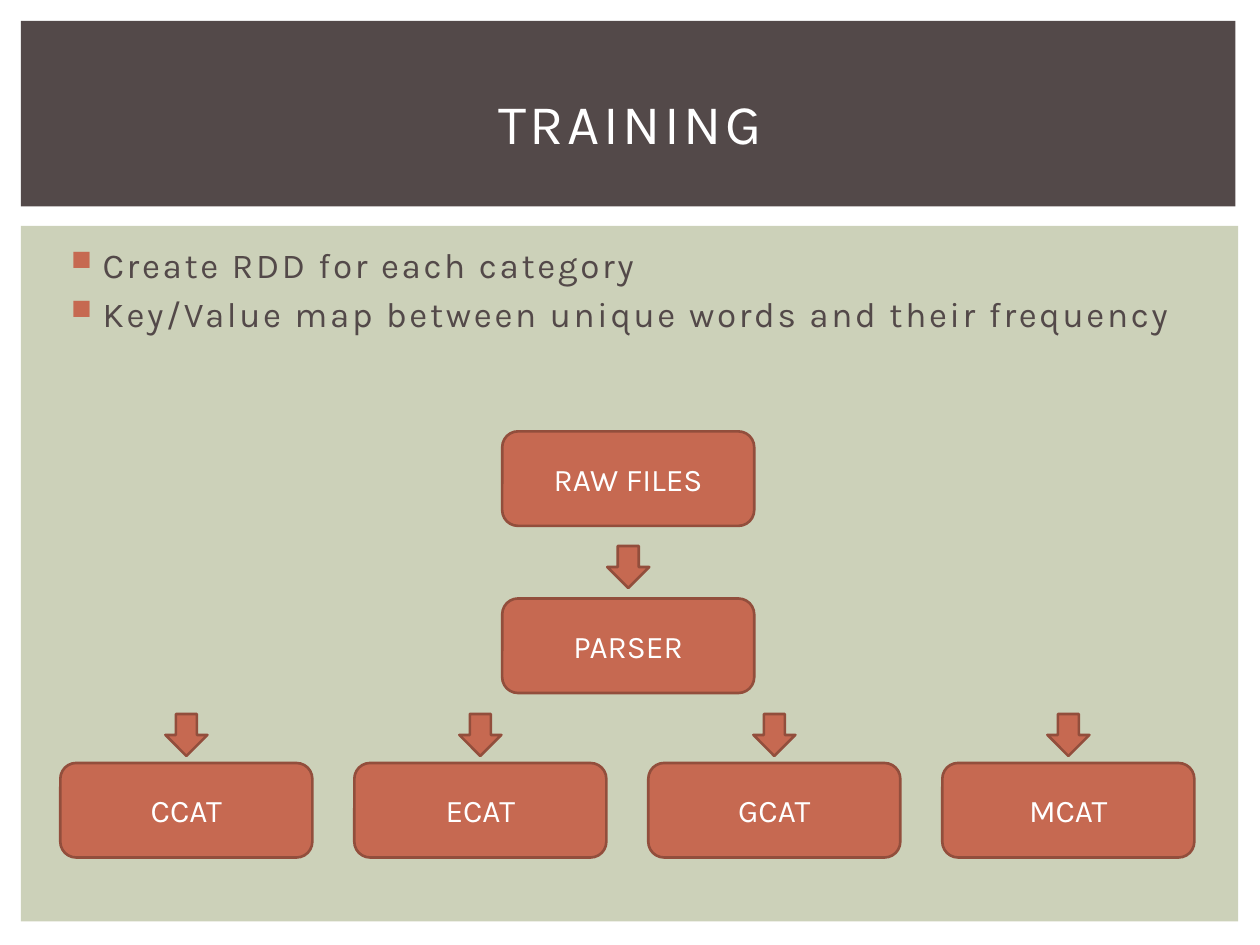
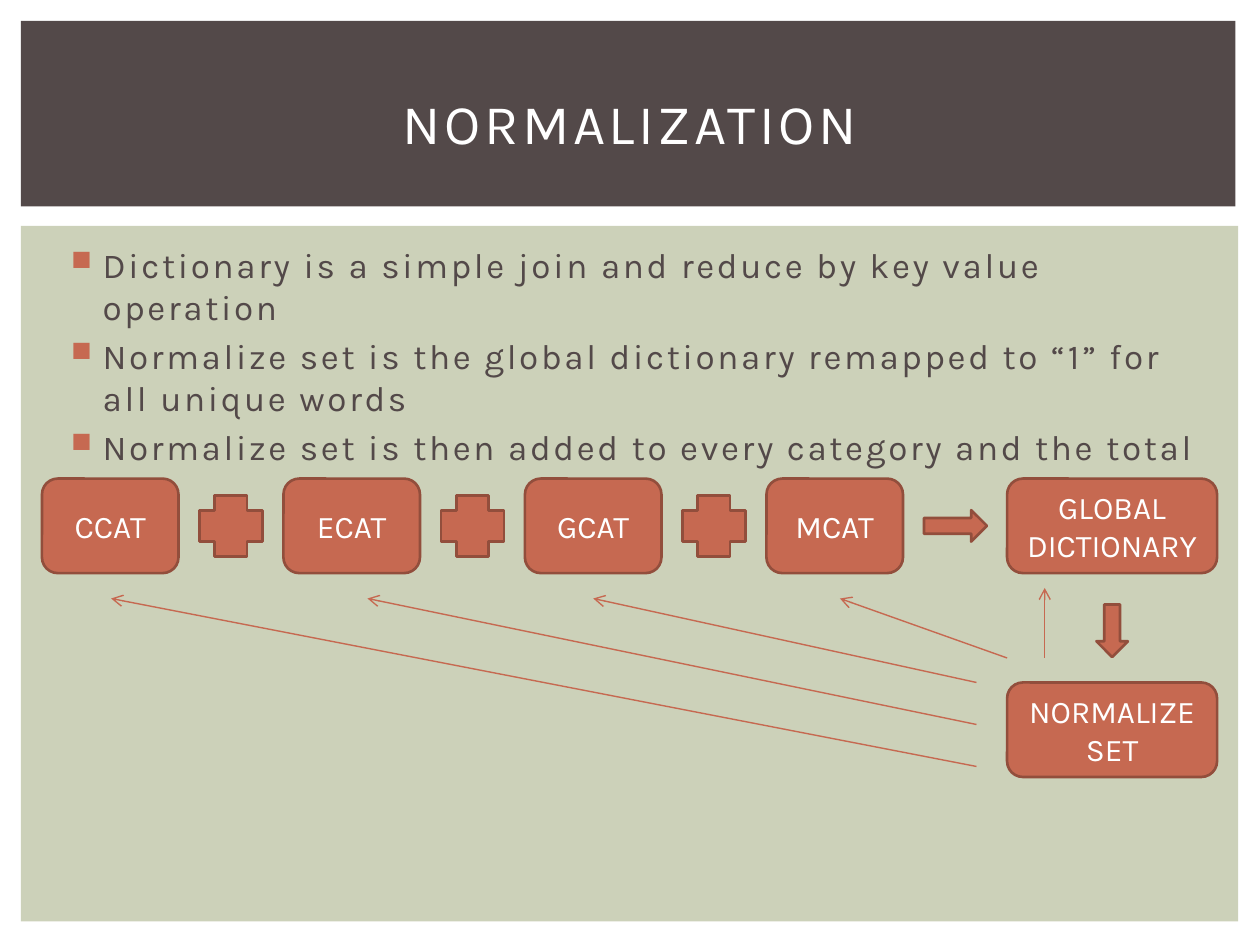
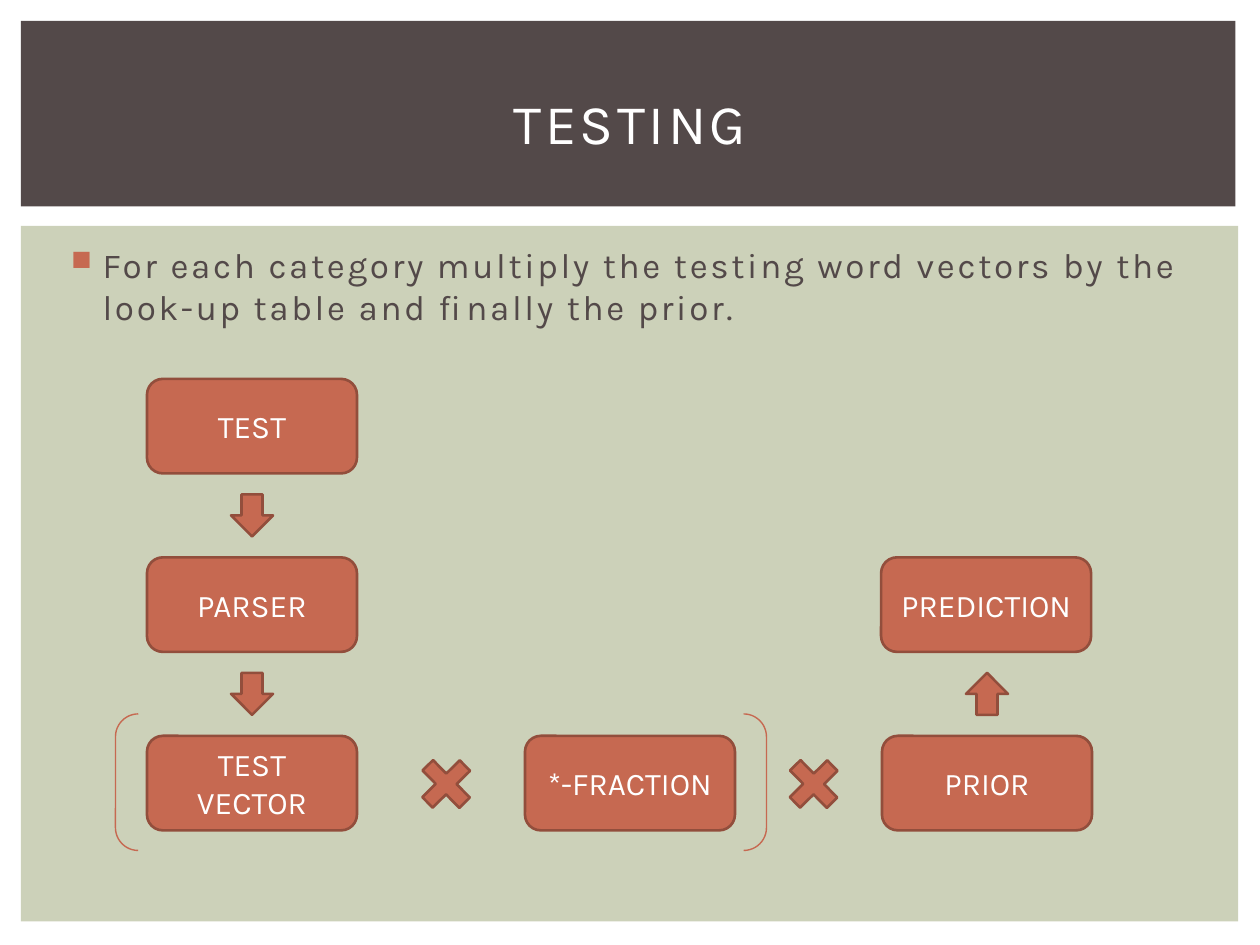
from dataclasses import dataclass
from typing import NamedTuple

from lxml.etree import SubElement
from pptx import Presentation
from pptx.dml.color import RGBColor
from pptx.enum.shapes import MSO_CONNECTOR, MSO_SHAPE
from pptx.enum.text import MSO_ANCHOR, MSO_AUTO_SIZE, PP_ALIGN
from pptx.oxml.ns import qn
from pptx.util import Pt


@dataclass(frozen=True)
class Theme:
    font: str = "Karla"
    dark: str = "534949"
    sage: str = "CCD1B9"
    rust: str = "C66951"
    edge: str = "924E3C"
    white: str = "FFFFFF"
    title: float = 32
    body: float = 20
    label: float = 18
    thick: float = 1.5
    thin: float = 0.79


class Area(NamedTuple):
    x: float
    y: float
    w: float
    h: float

    def points(self) -> tuple:
        return tuple(Pt(side) for side in self)


class Node(NamedTuple):
    kind: MSO_SHAPE
    area: Area
    text: str = ""
    turn: float = 0
    adjust: float | None = None


class Link(NamedTuple):
    start: tuple[float, float]
    end: tuple[float, float]


class Page(NamedTuple):
    title: str
    points: list[str]
    nodes: list[Node]
    links: list[Link] = []


LOOK = Theme()
PANEL = Area(12, 129, 695.5, 397.5)
BAND = Area(12, 12, 694, 106)
HEAD = Area(30, 28, 660, 83)
BODY = Area(30, 135.5, 662, 347)
GROUPS = ["CCAT", "ECAT", "GCAT", "MCAT"]
TALL = 54
ARROW = 24


def color(code: str) -> RGBColor:
    return RGBColor.from_string(code)


def write(frame, lines: list[str], *, size: float, ink: str, gap: float = 0,
          align=PP_ALIGN.CENTER, anchor=MSO_ANCHOR.MIDDLE, bullet: bool = False) -> None:
    frame.word_wrap = True
    frame.auto_size = MSO_AUTO_SIZE.NONE
    frame.vertical_anchor = anchor
    for index, line in enumerate(lines):
        para = frame.add_paragraph() if index else frame.paragraphs[0]
        para.alignment = align
        run = para.add_run()
        run.text = line
        run.font.name = LOOK.font
        run.font.size = Pt(size)
        run.font.color.rgb = color(ink)
        if gap:
            run._r.get_or_add_rPr().set("spc", str(int(gap * 100)))
        if bullet:
            para.space_before = Pt(size * 0.2)
            mark(para)


def mark(para) -> None:
    props = para._p.get_or_add_pPr()
    props.set("marL", str(Pt(21.6)))
    props.set("indent", str(Pt(-18)))
    tint = SubElement(props, qn("a:buClr"))
    SubElement(tint, qn("a:srgbClr")).set("val", LOOK.rust)
    SubElement(props, qn("a:buSzPct")).set("val", "80000")
    SubElement(props, qn("a:buChar")).set("char", "■")


def draw(slide, node: Node, fill: str = LOOK.rust, edge: str | None = LOOK.edge) -> None:
    shape = slide.shapes.add_shape(node.kind, *node.area.points())
    shape.shadow.inherit = False
    shape.rotation = node.turn
    if node.adjust is not None:
        shape.adjustments[0] = node.adjust
    if node.kind == MSO_SHAPE.DOUBLE_BRACKET:
        shape.fill.background()
        shape.line.color.rgb = color(LOOK.rust)
        shape.line.width = Pt(LOOK.thin)
        return
    shape.fill.solid()
    shape.fill.fore_color.rgb = color(fill)
    if edge:
        shape.line.color.rgb = color(edge)
        shape.line.width = Pt(LOOK.thick)
    else:
        shape.line.fill.background()
    if node.text:
        write(shape.text_frame, [node.text], size=LOOK.label, ink=LOOK.white)


def join(slide, link: Link) -> None:
    ends = [Pt(value) for value in (*link.start, *link.end)]
    wire = slide.shapes.add_connector(MSO_CONNECTOR.STRAIGHT, *ends)
    wire.line.color.rgb = color(LOOK.rust)
    wire.line.width = Pt(LOOK.thin)
    SubElement(wire.line._get_or_add_ln(), qn("a:tailEnd")).set("type", "arrow")
    SubElement(wire._element.spPr, qn("a:effectLst"))


def build(deck, page: Page) -> None:
    slide = deck.slides.add_slide(deck.slide_layouts[5])
    draw(slide, Node(MSO_SHAPE.RECTANGLE, PANEL), LOOK.sage, None)
    draw(slide, Node(MSO_SHAPE.RECTANGLE, BAND), LOOK.dark, None)
    body = slide.shapes.add_textbox(*BODY.points())
    write(body.text_frame, page.points, size=LOOK.body, ink=LOOK.dark, gap=1.5,
          align=PP_ALIGN.LEFT, anchor=MSO_ANCHOR.TOP, bullet=True)
    title = slide.shapes.title
    title.left, title.top, title.width, title.height = HEAD.points()
    write(title.text_frame, [page.title], size=LOOK.title, ink=LOOK.white, gap=2)
    slide.shapes._spTree.append(title._element)
    for node in page.nodes:
        draw(slide, node)
    for link in page.links:
        join(slide, link)


def box(text: str, x: float, y: float, w: float = 120) -> Node:
    return Node(MSO_SHAPE.ROUNDED_RECTANGLE, Area(x, y, w, TALL), text)


def arrow(x: float, y: float, turn: float = 0) -> Node:
    return Node(MSO_SHAPE.DOWN_ARROW, Area(x, y, ARROW, ARROW), turn=turn)


def times(x: float) -> Node:
    return Node(MSO_SHAPE.CROSS, Area(x, 433, 30, 30), turn=315.5, adjust=0.36)


def train() -> Page:
    nodes = [box("RAW FILES", 287, 246.5, 144), arrow(347, 312),
             box("PARSER", 287, 342, 144)]
    for index, name in enumerate(GROUPS):
        left = 34.5 + 168 * index
        nodes += [box(name, left, 436, 144), arrow(left + 60, 408)]
    return Page("TRAINING", [
        "Create RDD for each category",
        "Key/Value map between unique words and their frequency",
    ], nodes)


def level() -> Page:
    step, top = 138, 273.5
    nodes = [box(name, 24 + step * index, top, 78) for index, name in enumerate(GROUPS)]
    nodes += [Node(MSO_SHAPE.CROSS, Area(114 + step * index, 283, 36, 35))
              for index in range(len(GROUPS) - 1)]
    nodes += [
        Node(MSO_SHAPE.RIGHT_ARROW, Area(528, 291.5, 36, 18)),
        box("GLOBAL DICTIONARY", 575.5, top),
        box("NORMALIZE SET", 575.5, 390),
        Node(MSO_SHAPE.DOWN_ARROW, Area(626.5, 345.5, 18, 30)),
    ]
    links = [Link((597, 376), (597, 336)), Link((575.5, 376), (480, 342))]
    links += [Link((558, 390 + 24 * index), (goal, 342))
              for index, goal in enumerate((339, 210, 63.5))]
    return Page("NORMALIZATION", [
        "Dictionary is a simple join and reduce by key value operation",
        "Normalize set is the global dictionary remapped to “1” for all unique words",
        "Normalize set is then added to every category and the total",
    ], nodes, links)


def test() -> Page:
    rows = [216.5 + 102 * index for index in range(3)]
    names = ["TEST", "PARSER", "TEST VECTOR"]
    nodes = [box(name, 84, row) for name, row in zip(names, rows)]
    nodes += [arrow(132, row + 66) for row in rows[:2]]
    nodes += [
        times(240),
        box("*-FRACTION", 300, rows[2]),
        times(450),
        Node(MSO_SHAPE.DOUBLE_BRACKET, Area(66, 408, 372, 78)),
        box("PRIOR", 504, rows[2]),
        arrow(552, rows[1] + 66, 180),
        box("PREDICTION", 503.5, rows[1]),
    ]
    return Page("TESTING", [
        "For each category multiply the testing word vectors by the "
        "look-up table and finally the prior.",
    ], nodes)


def main() -> None:
    deck = Presentation()
    deck.slide_width, deck.slide_height = Pt(720), Pt(540)
    for page in (train(), level(), test()):
        build(deck, page)
    deck.save("out.pptx")


if __name__ == "__main__":
    main()
